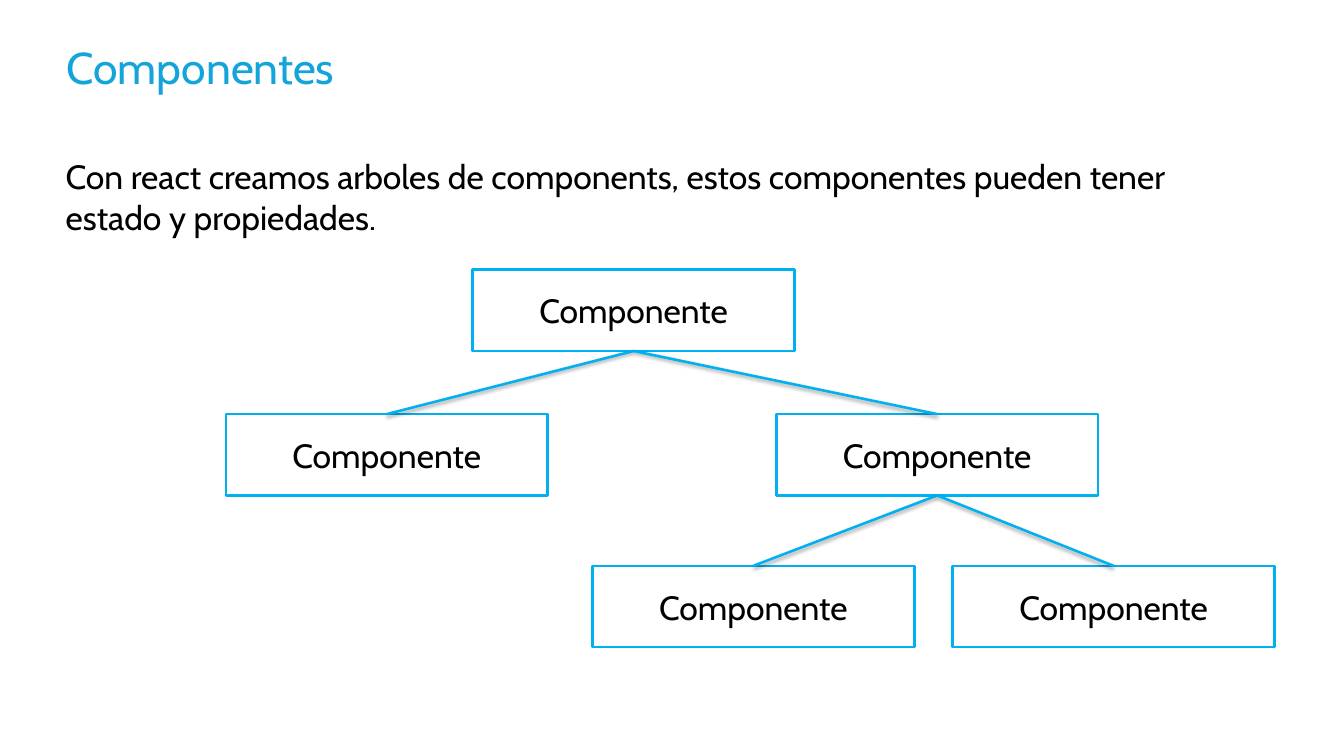
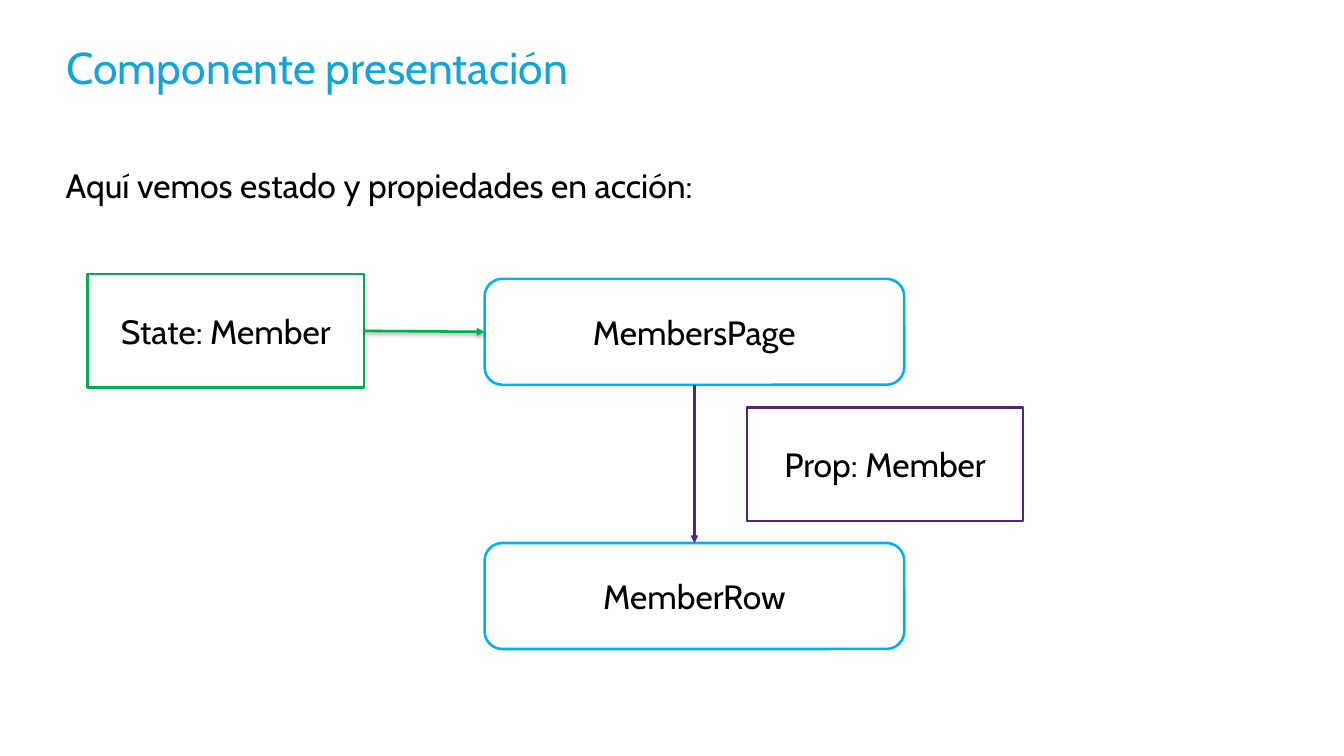
from dataclasses import dataclass

from lxml.etree import SubElement
from pptx import Presentation
from pptx.dml.color import RGBColor
from pptx.enum.shapes import MSO_CONNECTOR, MSO_SHAPE
from pptx.enum.text import MSO_ANCHOR, MSO_AUTO_SIZE, PP_ALIGN
from pptx.oxml.ns import qn
from pptx.util import Pt

PX = 9144  # 100 px to the inch
TOP, LEFT, BOTTOM, RIGHT = range(4)  # connection sites of a box


@dataclass(frozen=True)
class Theme:
    font: str = "Cabin"
    title_size: float = 35
    body_size: float = 26.5
    line_width: float = 2
    title: str = "13A4D9"
    text: str = "000000"
    fill: str = "FFFFFF"
    component: str = "00B0F0"
    state: str = "00B050"
    prop: str = "542478"


THEME = Theme()


def px(*lengths):
    return [n * PX for n in lengths]


def rgb(color):
    return RGBColor.from_string(color)


def write(sp, text, size, color, align, anchor):
    tf = sp.text_frame
    tf.text = text
    tf.word_wrap = True
    tf.vertical_anchor = anchor
    p = tf.paragraphs[0]
    p.alignment = align
    font = p.runs[0].font
    font.name, font.size, font.color.rgb = THEME.font, Pt(size), rgb(color)
    return tf


def set_line(line, color):
    line.color.rgb = rgb(color)
    line.width = Pt(THEME.line_width)


def add_box(s, text, left, top, width, height, color, shape=MSO_SHAPE.RECTANGLE):
    sp = s.shapes.add_shape(shape, *px(left, top, width, height))
    sp.shadow.inherit = False
    sp.fill.solid()
    sp.fill.fore_color.rgb = rgb(THEME.fill)
    set_line(sp.line, color)
    write(sp, text, THEME.body_size, THEME.text, PP_ALIGN.CENTER, MSO_ANCHOR.MIDDLE)
    return sp


def link(s, start, start_site, end, end_site, color, arrow=False, shadow=True):
    c = s.shapes.add_connector(MSO_CONNECTOR.STRAIGHT, 0, 0, 0, 0)
    c.begin_connect(start, start_site)
    c.end_connect(end, end_site)
    set_line(c.line, color)
    sp_pr = c._element.spPr
    if arrow:
        SubElement(sp_pr.find(qn("a:ln")), qn("a:tailEnd"), type="triangle")
    effects = SubElement(sp_pr, qn("a:effectLst"))
    if shadow:
        outer = SubElement(effects, qn("a:outerShdw"), blurRad="40000",
                           dist="20000", dir="5400000", rotWithShape="0")
        black = SubElement(outer, qn("a:srgbClr"), val="000000")
        SubElement(black, qn("a:alpha"), val="38000")


def add_slide(prs, title, intro, intro_top, intro_height):
    s = prs.slides.add_slide(prs.slide_layouts.get_by_name("Title Only"))
    sp = s.shapes.title
    sp.left, sp.top, sp.width, sp.height = px(62, 33, 1336, 81)
    tf = write(sp, title, THEME.title_size, THEME.title, PP_ALIGN.LEFT, MSO_ANCHOR.MIDDLE)
    tf.margin_left, tf.margin_top, tf.margin_right, tf.margin_bottom = px(11, 5, 11, 5)
    sp = s.shapes.add_textbox(*px(62, intro_top, 1314, intro_height))
    tf = write(sp, intro, THEME.body_size, THEME.text, PP_ALIGN.LEFT, MSO_ANCHOR.TOP)
    tf.auto_size = MSO_AUTO_SIZE.SHAPE_TO_FIT_TEXT
    return s


def component_tree(s, left, top):
    # Boxes, by level
    places = [(270, 0), (0, 158), (602, 158), (401, 324), (795, 324)]
    nodes = [add_box(s, "Componente", left + x, top + y, 352, 89, THEME.component)
             for x, y in places]
    # Branches, parent to child
    for parent, child in [(0, 1), (0, 2), (2, 3), (2, 4)]:
        link(s, nodes[parent], BOTTOM, nodes[child], TOP, THEME.component)


def member_flow(s, left, top):
    # Components
    page, row = [
        add_box(s, name, left + 434, top + y, 459, 116, THEME.component,
                MSO_SHAPE.ROUNDED_RECTANGLE)
        for name, y in [("MembersPage", 5), ("MemberRow", 294)]]
    # State going into the page
    state = add_box(s, "State: Member", left, top, 302, 124, THEME.state)
    link(s, state, RIGHT, page, LEFT, THEME.state, arrow=True)
    # Property handed down to the row
    add_box(s, "Prop: Member", left + 721, top + 146, 302, 124, THEME.prop)
    link(s, page, BOTTOM, row, TOP, THEME.prop, arrow=True, shadow=False)


def main():
    prs = Presentation()
    prs.slide_width, prs.slide_height = px(1470, 827)

    s = add_slide(prs, "Componentes",
                  "Con react creamos arboles de components, estos componentes "
                  "pueden tener estado y propiedades.", 166, 99)
    component_tree(s, 247, 295)

    s = add_slide(prs, "Componente presentación",
                  "Aquí vemos estado y propiedades en acción:", 175, 55)
    member_flow(s, 96, 300)

    prs.save("out.pptx")


if __name__ == "__main__":
    main()
